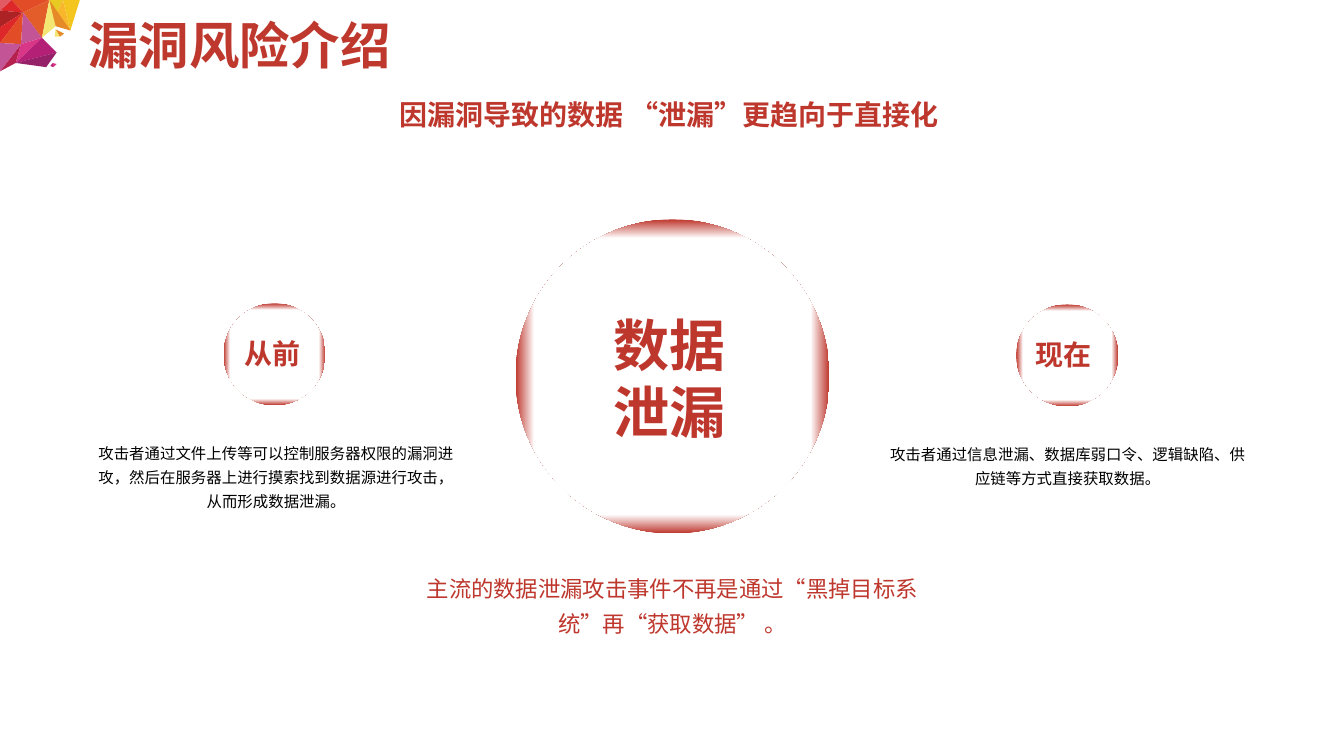
"""Build the slide on how vulnerabilities lead to data leaks."""
from pptx import Presentation
from pptx.dml.color import RGBColor
from pptx.enum.shapes import MSO_SHAPE as SHAPE
from pptx.enum.text import MSO_ANCHOR as ANCHOR, MSO_AUTO_SIZE as AUTO, PP_ALIGN as ALIGN
from pptx.oxml import parse_xml
from pptx.oxml.ns import nsdecls, qn
from pptx.util import Pt

PX = 9525
FONT = "Noto Sans CJK SC"
C = {
    "title": "BE382D", "red": "BE372D", "black": "000000", "white": "FFFFFF",
    "lemon": "E8CB22", "amber": "F8B62D", "gold": "F4C51E", "cream": "F4E673",
    "orange": "E58A27", "flame": "E24C26", "rust": "E25D2A", "scarlet": "DD2729",
    "maroon": "AD2325", "coral": "E25A64", "orchid": "C35495", "pink": "DA3688",
    "magenta": "B52077", "plum": "952268", "crimson": "B62250",
}


def write(s, lines, size, color, bold=False, align=ALIGN.LEFT, spacing=1.0):
    tf = s.text_frame
    tf.text = "\n".join(lines)
    for p in tf.paragraphs:
        p.alignment, p.line_spacing = align, spacing
        for f in [p.font] + [r.font for r in p.runs]:
            f.name, f.size, f.bold = FONT, Pt(size), bold
            f.color.rgb = RGBColor.from_string(C[color])
            f._element.find(qn("a:latin")).addnext(
                parse_xml(f'<a:ea {nsdecls("a")} typeface="{FONT}"/>'))


def add_text(box, lines, *style, wrap=True, **kw):
    s = shapes.add_textbox(*[v * PX for v in box])
    s.text_frame.word_wrap = wrap
    write(s, lines, *style, **kw)


prs = Presentation()
prs.slide_width, prs.slide_height = 1280 * PX, 720 * PX
slide = prs.slides.add_slide(prs.slide_layouts[5])
shapes = slide.shapes

V = {
    "O": (0, 0), "a": (47, 0), "b": (60, 0), "c": (51, 20), "d": (67, 29),
    "e": (11, 0), "f": (22, 12), "g": (40, 36), "h": (0, 10), "i": (0, 26),
    "j": (0, 41), "k": (20, 42), "l": (15, 60), "m": (54, 50), "n": (44, 64),
    "o": (0, 68), "p": (53, 25), "q": (76, 0), "r": (61, 32), "s": (53, 28),
    "t": (57, 35), "u": (52, 35), "v": (54, 61), "w": (50, 60), "x": (51, 64),
    "y": (48, 63),
}
facets = [
    ("abc", "lemon"), ("bdc", "amber"), ("eaf", "flame"), ("agf", "rust"),
    ("fhe", "scarlet"), ("fih", "maroon"), ("fji", "scarlet"), ("jkf", "flame"),
    ("gfk", "orchid"), ("glk", "pink"), ("gml", "magenta"), ("mnl", "plum"),
    ("kol", "crimson"), ("jok", "orchid"), ("rst", "orange"), ("sut", "cream"),
    ("hOe", "coral"), ("gpa", "cream"), ("pda", "orange"), ("bqd", "gold"),
    ("vwx", "pink"), ("wyx", "magenta"),
]
for corners, color in facets:
    start, *rest = [V[name] for name in corners]
    fb = shapes.build_freeform(*start, scale=PX)
    fb.add_line_segments(rest)
    s = fb.convert_to_shape()
    s.shadow.inherit = False
    s.fill.solid()
    s.fill.fore_color.rgb = RGBColor.from_string(C[color])
    s.line.fill.background()

title = shapes.title
title.left, title.top, title.width, title.height = 84 * PX, 0, 812 * PX, 73 * PX
tf = title.text_frame
tf.margin_left = tf.margin_top = tf.margin_right = tf.margin_bottom = 0
tf.vertical_anchor, tf.auto_size = ANCHOR.MIDDLE, AUTO.NONE
write(title, ["漏洞风险介绍"], 36, "title", True, spacing=1.2)

add_text((371, 88, 540, 42), ["因漏洞导致的数据 “泄漏”更趋向于直接化"],
         20, "red", True, wrap=False)

for x, y, size, edge in [(491, 209, 299, 0.88), (213, 289, 97, 0.87), (968, 290, 97, 0.87)]:
    s = shapes.add_shape(SHAPE.OVAL, x * PX, y * PX, size * PX, size * PX)
    s.shadow.inherit = False
    s.line.fill.background()
    s.fill.gradient()
    for stop, color, pos in zip(s.fill.gradient_stops, ("white", "red"), (edge, 1)):
        stop.color.rgb = RGBColor.from_string(C[color])
        stop.position = pos
    grad = s._element.spPr.find(qn("a:gradFill"))
    grad.replace(grad.find(qn("a:lin")), parse_xml(
        f'<a:path {nsdecls("a")} path="shape">'
        '<a:fillToRect l="50000" t="50000" r="50000" b="50000"/></a:path>'))

add_text((575, 291, 129, 139), ["数据", "泄漏"], 40, "red", True)
add_text((390, 535, 501, 74),
         ["主流的数据泄漏攻击事件不再是通过“黑掉目标系统”再“获取数据” 。"],
         16, "red", align=ALIGN.CENTER, spacing=1.3)

eras = [
    (84, 413, 77, "从前", "攻击者通过文件上传等可以控制服务器权限的漏洞进攻，"
     "然后在服务器上进行摸索找到数据源进行攻击，从而形成数据泄漏。"),
    (838, 414, 54, "现在", "攻击者通过信息泄漏、数据库弱口令、逻辑缺陷、供应链等方式直接获取数据。"),
]
for x, y, height, label, detail in eras:
    add_text((x + 139, y - 97, 80, 42), [label], 20, "red", True, align=ALIGN.JUSTIFY)
    add_text((x, y, 358, height), [detail], 11, "black", align=ALIGN.CENTER, spacing=1.3)

prs.save("out.pptx")
